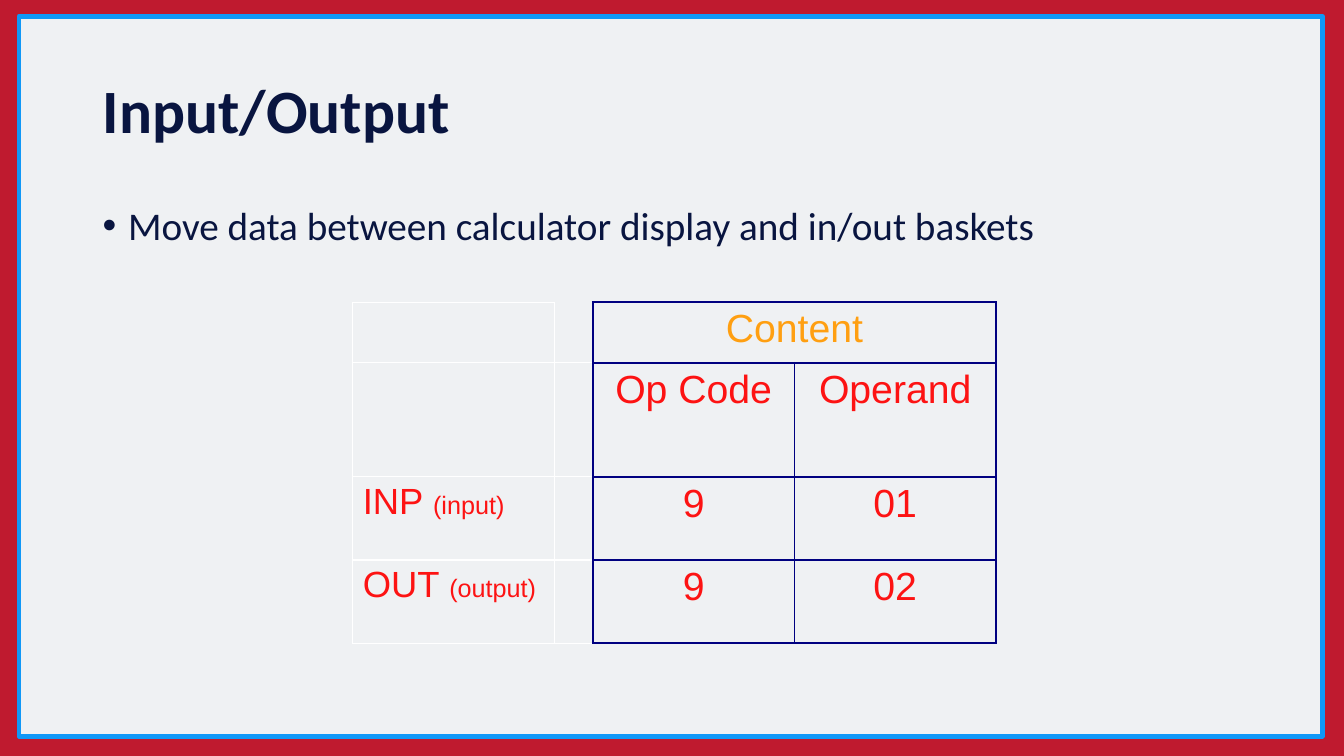
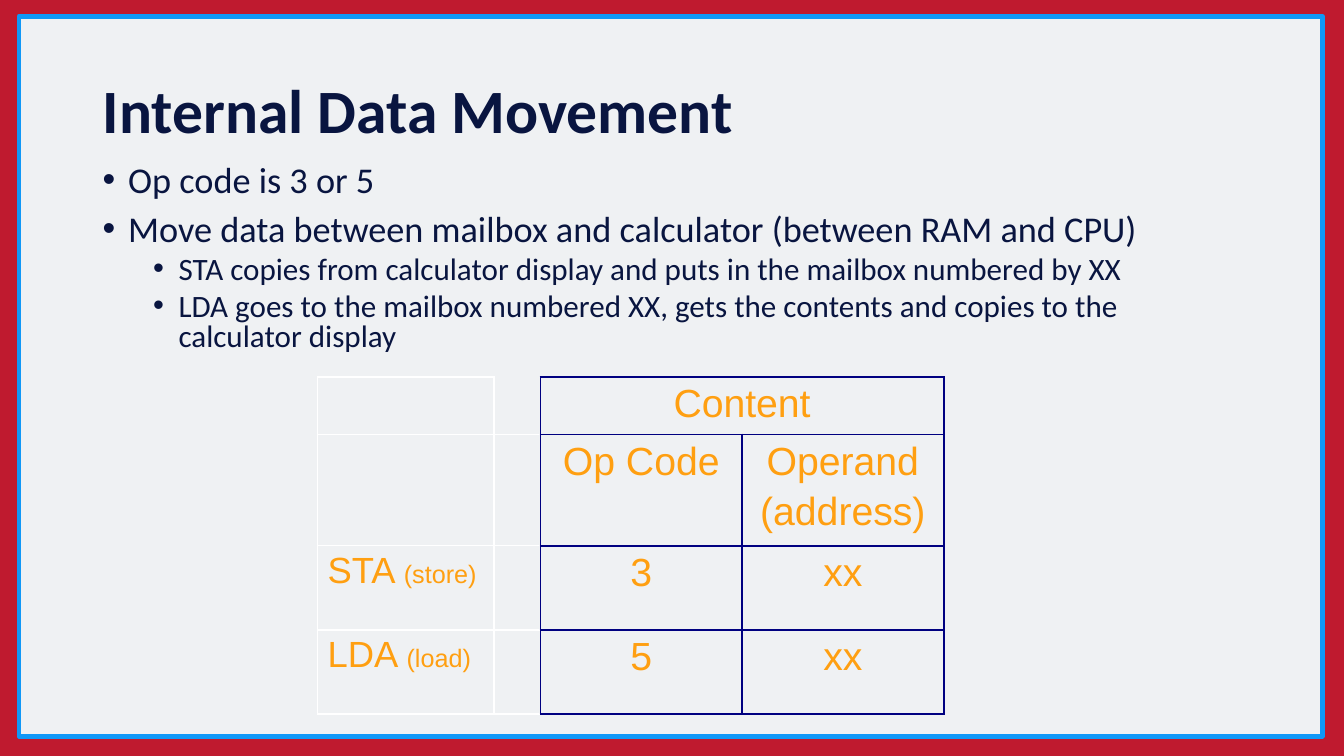
from dataclasses import dataclass

from lxml import etree
from pptx import Presentation
from pptx import util as u
from pptx.dml.color import RGBColor
from pptx.enum import shapes, text
from pptx.oxml.ns import qn


@dataclass(frozen=True)
class Theme:
    red: str = "BF1A2F"
    paper: str = "EFF1F3"
    blue: str = "1098F7"
    ink: str = "091540"
    navy: str = "000080"
    white: str = "FFFFFF"
    gold: str = "FF9F11"
    alert: str = "FD1313"
    sans: str = "Calibri"
    grid: str = "Arial"
    head: float = 44
    cell: float = 28
    code: float = 26
    note: float = 18


T = Theme()
LEFT, WIDE = 2.34, 29.21
ALIGN = text.PP_ALIGN


def put(item, **values):
    for name, value in values.items():
        setattr(item, name, value)


def place(shape, *box):
    put(shape, **dict(zip(("left", "top", "width", "height"), map(u.Cm, box))))


def style(font, size, color, name=T.sans, bold=False):
    put(font, size=u.Pt(size), name=name, bold=bold)
    font.color.rgb = RGBColor.from_string(color)


def dress(layout, slide):
    """Give the layout its backdrop, frame and title box."""
    fill = layout.background.fill
    fill.solid()
    fill.fore_color.rgb = RGBColor.from_string(T.red)
    frame = slide.shapes.add_shape(
        shapes.MSO_SHAPE.RECTANGLE, *map(u.Cm, (0.48, 0.41, 32.84, 18.14)))
    frame.shadow.inherit = False
    frame.fill.solid()
    frame.fill.fore_color.rgb = RGBColor.from_string(T.paper)
    frame.line.color.rgb = RGBColor.from_string(T.blue)
    frame.line.width = u.Pt(3.5)
    layout.shapes.element.insert(2, frame.element)
    place(layout.placeholders[0], LEFT, 1.02, WIDE, 3.68)


def title(slide, words):
    box = slide.shapes.title.text_frame
    box.text = words
    put(box, word_wrap=True, auto_size=text.MSO_AUTO_SIZE.NONE,
        vertical_anchor=text.MSO_ANCHOR.MIDDLE)
    para = box.paragraphs[0]
    put(para, alignment=ALIGN.LEFT, line_spacing=0.9)
    style(para.runs[0].font, T.head, T.ink, bold=True)


def bullets(slide, box, items, sizes, spacing):
    """Items are (level, words); sizes holds one type size per level."""
    frame = slide.shapes.add_textbox(*map(u.Cm, box)).text_frame
    frame.word_wrap = True
    for i, (level, words) in enumerate(items):
        para = frame.add_paragraph() if i else frame.paragraphs[0]
        put(para, level=level, line_spacing=spacing,
            space_before=u.Pt(5 if level else 10))
        run = para.add_run()
        run.text = words
        style(run.font, sizes[level], T.ink)
        props = para._p.get_or_add_pPr()
        props.set("marL", str(u.Cm(0.64 + 1.27 * level)))
        props.set("indent", str(-u.Cm(0.64)))
        etree.SubElement(props, qn("a:buFont")).set("typeface", "Arial")
        etree.SubElement(props, qn("a:buChar")).set("char", "•")


def edges(cell, row, col):
    """White rules on the two label columns, navy around the content."""
    label = (T.white, 1)
    content = (T.navy, 1.5)
    rule = label if col < 2 else content
    sides = dict.fromkeys("LRTB", rule)
    if col == 1:
        sides["R"] = content
        if row == 0:
            sides["T"] = None
    props = cell._tc.get_or_add_tcPr()
    for side, pen in sides.items():
        line = etree.SubElement(props, qn("a:ln" + side))
        if pen is None:
            etree.SubElement(line, qn("a:noFill"))
            continue
        color, width = pen
        line.set("w", str(u.Pt(width)))
        fill = etree.SubElement(line, qn("a:solidFill"))
        etree.SubElement(fill, qn("a:srgbClr")).set("val", color)
    cell.fill.background()


def write(cell, lines, color, align=ALIGN.CENTER):
    """Each line is a list of (words, size) runs."""
    frame = cell.text_frame
    for i, runs in enumerate(lines):
        para = frame.add_paragraph() if i else frame.paragraphs[0]
        put(para, alignment=align, space_before=u.Pt(5))
        for words, size in runs:
            run = para.add_run()
            run.text = words
            style(run.font, size, color, T.grid)


def codes(slide, spot, cols, rows, heads, body, color):
    """Table of op codes; body rows are (code, note, op code, operand)."""
    size = sum(cols), sum(rows)
    grid = slide.shapes.add_table(
        len(rows), len(cols), *map(u.Cm, spot + size)).table
    put(grid, first_row=False, horz_banding=False)
    for col, width in zip(grid.columns, cols):
        col.width = u.Cm(width)
    for row, height in zip(grid.rows, rows):
        row.height = u.Cm(height)
    for r in range(len(rows)):
        for c in range(len(cols)):
            edges(grid.cell(r, c), r, c)
    grid.cell(0, 2).merge(grid.cell(0, 3))
    write(grid.cell(0, 2), [[("Content", T.cell)]], T.gold)
    for c, lines in enumerate(heads, 2):
        write(grid.cell(1, c), [[(line, T.cell)] for line in lines], color)
    for r, (code, note, *values) in enumerate(body, 2):
        write(grid.cell(r, 0), [[(code + " ", T.code), (note, T.note)]],
              color, ALIGN.LEFT)
        for c, value in enumerate(values, 2):
            write(grid.cell(r, c), [[(value, T.cell)]], color)


def in_out(slide):
    title(slide, "Input/Output")
    bullets(slide, (LEFT, 5.08, WIDE, 12.09),
            [(0, "Move data between calculator display and in/out baskets")],
            (28,), 0.9)
    codes(slide, (8.89, 7.62), (5.08, 0.97, 5.08, 5.08),
          (1.52, 2.87, 2.1, 2.1), (["Op Code"], ["Operand"]),
          [("INP", "(input)", "9", "01"), ("OUT", "(output)", "9", "02")],
          T.alert)


def moves(slide):
    title(slide, "Internal Data Movement")
    bullets(slide, (LEFT, 4.06, WIDE, 5.13), [
        (0, "Op code is 3 or 5"),
        (0, "Move data between mailbox and calculator (between RAM and CPU)"),
        (1, "STA copies from calculator display and puts in the mailbox "
            "numbered by XX"),
        (1, "LDA goes to the mailbox numbered XX, gets the contents and "
            "copies to the calculator display"),
    ], (25.9, 22.2), 0.8)
    codes(slide, (8, 9.5), (4.45, 1.17, 5.08, 5.08),
          (1.45, 2.78, 2.12, 2.12), (["Op Code"], ["Operand", "(address)"]),
          [("STA", "(store)", "3", "xx"), ("LDA", "(load)", "5", "xx")],
          T.gold)


def main():
    deck = Presentation()
    put(deck, slide_width=u.Cm(33.87), slide_height=u.Cm(19.05))
    layout = deck.slide_layouts[5]
    first, second = (deck.slides.add_slide(layout) for _ in range(2))
    dress(layout, first)
    in_out(first)
    moves(second)
    deck.save("out.pptx")


if __name__ == "__main__":
    main()
